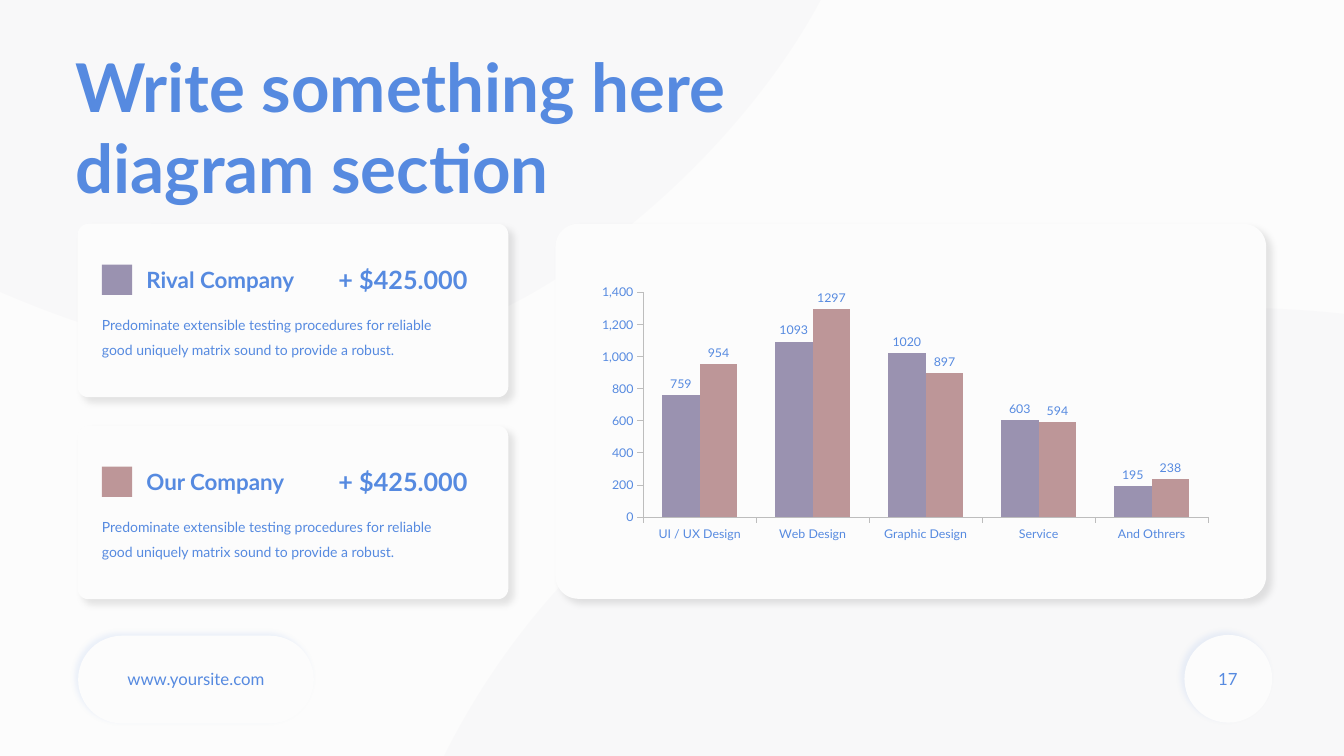
from lxml import etree
from pptx import Presentation
from pptx.chart.data import CategoryChartData
from pptx.dml.color import RGBColor
from pptx.enum.chart import XL_CHART_TYPE, XL_LABEL_POSITION, XL_TICK_MARK
from pptx.enum.shapes import MSO_SHAPE
from pptx.enum.text import MSO_ANCHOR, PP_ALIGN
from pptx.oxml import parse_xml
from pptx.oxml.ns import nsdecls, qn
from pptx.util import Cm, Pt

RECT, ROUND, OVAL = MSO_SHAPE.RECTANGLE, MSO_SHAPE.ROUNDED_RECTANGLE, MSO_SHAPE.OVAL
LEFT, CENTER, RIGHT = PP_ALIGN.LEFT, PP_ALIGN.CENTER, PP_ALIGN.RIGHT
TOP, MIDDLE = MSO_ANCHOR.TOP, MSO_ANCHOR.MIDDLE
COLUMNS = XL_CHART_TYPE.COLUMN_CLUSTERED
OUTSIDE = XL_LABEL_POSITION.OUTSIDE_END
TICK_OUT, TICK_NONE = XL_TICK_MARK.OUTSIDE, XL_TICK_MARK.NONE

FONT = "Lato"
WHITE = RGBColor(0xFC, 0xFC, 0xFC)
BLACK = RGBColor(0, 0, 0)
BLUE = RGBColor(0x56, 0x8A, 0xE0)
MAUVE = RGBColor(0x9A, 0x92, 0xB0)
ROSE = RGBColor(0xBD, 0x96, 0x98)
GRAY = RGBColor(0xBD, 0xBD, 0xBD)

# Shadow: colour, blur, distance, direction
GLOW = (BLUE, 4, 3, 225)
DROP = (BLACK, 5, 5, 45)

# Blobs in cm: bounding box, then a start point and Bezier segments
WAVE = (-17.48, -12.57, 39.34, 21.64), [
    (21.64, -5.64),
    (23.01, -1.52), (18.21, 4.67), (13.36, 7.42),
    (8.48, 10.13), (3.58, 9.45), (-3.15, 5.82),
    (-9.91, 2.24), (-18.47, -4.32), (-17.35, -8.13),
    (-16.28, -11.94), (-5.49, -12.95), (3.66, -12.45),
    (12.8, -11.89), (20.29, -9.78), (21.64, -5.64),
]
HILL = (8.92, 7.75, 41.73, 37.36), [
    (50.29, 17.7),
    (52.25, 24), (46.43, 32.51), (38.48, 38.35),
    (30.53, 44.2), (20.47, 47.29), (14.66, 43.36),
    (8.89, 39.42), (7.42, 28.45), (10.49, 20.62),
    (13.56, 12.8), (21.23, 8.13), (29.92, 7.77),
    (38.61, 7.44), (48.36, 11.46), (50.29, 17.7),
]

BLURB = ("Predominate extensible testing procedures for reliable "
         "good uniquely matrix sound to provide a robust.")
CARDS = [("Rival Company", MAUVE), ("Our Company", ROSE)]
AMOUNT = "+ $425.000"
GROUPS = ["UI / UX Design", "Web Design", "Graphic Design", "Service", "And Othrers"]
SERIES = [
    ("Series 1", [759, 1093, 1020, 603, 195], MAUVE),
    ("Series 2", [954, 1297, 897, 594, 238], ROSE),
]


def add_blob(slide, box, nodes):
    """Draw a faint closed curve; its box frames the path."""
    x, y, w, h = map(Cm, box)
    pen = slide.shapes.build_freeform(x, y)
    pen.add_line_segments([(x + w, y), (x + w, y + h), (x, y + h)], close=True)
    blob = pen.convert_to_shape()
    paint(blob, MAUVE)
    tint = blob.fill._xPr.find(qn("a:solidFill"))[0]
    etree.SubElement(tint, qn("a:alpha"), val="3000")

    # Swap the frame's straight sides for Bezier segments
    track = next(blob._element.iter(qn("a:path")))
    for step in list(track):
        track.remove(step)
    for i in range(0, len(nodes), 3):
        step = etree.SubElement(track, qn("a:cubicBezTo" if i else "a:moveTo"))
        for px, py in nodes[max(i - 2, 0):i + 1]:
            etree.SubElement(step, qn("a:pt"), x=str(Cm(px) - x), y=str(Cm(py) - y))
    etree.SubElement(track, qn("a:close"))


def paint(shape, color):
    shape.shadow.inherit = False
    shape.fill.solid()
    shape.fill.fore_color.rgb = color
    shape.line.fill.background()


def add_box(slide, kind, box, color, radius=None, shade=None):
    shape = slide.shapes.add_shape(kind, *map(Cm, box))
    paint(shape, color)
    if radius is not None:
        shape.adjustments[0] = radius
    if shade:
        tone, blur, dist, angle = shade
        effects = shape._element.spPr.find(qn("a:effectLst"))
        effects.append(parse_xml(
            f'<a:outerShdw {nsdecls("a")} blurRad="{Pt(blur)}" dist="{Pt(dist)}" '
            f'dir="{angle * 60000}" algn="ctr" rotWithShape="0">'
            f'<a:srgbClr val="{tone}"><a:alpha val="10000"/></a:srgbClr></a:outerShdw>'))


def style(font, size, bold=False):
    font.name, font.size, font.bold = FONT, Pt(size), bold
    font.color.rgb = BLUE


def add_text(slide, text, box, size, bold=False, align=LEFT, anchor=TOP,
             inset=True, wrap=True, spacing=None):
    frame = slide.shapes.add_textbox(*map(Cm, box)).text_frame
    frame.word_wrap = wrap
    frame.vertical_anchor = anchor
    if not inset:
        frame.margin_left = frame.margin_right = 0
        frame.margin_top = frame.margin_bottom = 0
    para = frame.paragraphs[0]
    para.text = text
    para.alignment = align
    if spacing:
        para.line_spacing = spacing
    style(para.font, size, bold)


def add_panel(slide, x, y, w, h, pad=0.23):
    add_box(slide, ROUND, (x, y, w, h), WHITE, 0.061, DROP)
    add_box(slide, ROUND, (x + pad, y + pad, w - 2 * pad, h - 2 * pad), WHITE, 0.046)


def add_card(slide, x, y, name, color):
    add_panel(slide, x, y, 10.85, 4.37)
    add_text(slide, AMOUNT, (x + 6.57, y + 1.03, 4.06, 0.76), 18, True, inset=False)
    add_box(slide, RECT, (x + 0.61, y + 1.03, 0.76, 0.76), color)
    add_text(slide, name, (x + 1.73, y + 1.07, 4.7, 0.69), 16, True, inset=False)
    add_text(slide, BLURB, (x + 0.61, y + 2.13, 8.81, 1.22), 10, inset=False, spacing=1.5)


def style_axis(axis):
    axis.has_major_gridlines = False
    axis.major_tick_mark, axis.minor_tick_mark = TICK_OUT, TICK_NONE
    axis.format.line.color.rgb = GRAY
    axis.format.line.width = Pt(0.75)
    style(axis.tick_labels.font, 9)


def place_plot(chart, x, y, w, h):
    """Fix the inner plot area as fractions of the chart."""
    area = chart._chartSpace.chart.plotArea
    for old in area.findall(qn("c:layout")):
        area.remove(old)
    area.insert(0, parse_xml(
        f'<c:layout {nsdecls("c")}><c:manualLayout><c:layoutTarget val="inner"/>'
        '<c:xMode val="edge"/><c:yMode val="edge"/>'
        f'<c:x val="{x}"/><c:y val="{y}"/><c:w val="{w}"/><c:h val="{h}"/>'
        '</c:manualLayout></c:layout>'))


def add_columns(slide, box):
    data = CategoryChartData()
    data.categories = GROUPS
    for name, values, _ in SERIES:
        data.add_series(name, values)
    chart = slide.shapes.add_chart(COLUMNS, *map(Cm, box), data).chart
    style(chart.font, 18)
    chart.has_legend = chart.has_title = False
    place_plot(chart, 0.05, 0, 0.95, 0.92)
    for axis in (chart.category_axis, chart.value_axis):
        style_axis(axis)
    scale = chart.value_axis
    scale.minimum_scale, scale.maximum_scale, scale.major_unit = 0, 1400, 200
    scale.tick_labels.number_format = "#,##0"
    scale.tick_labels.number_format_is_linked = False
    plot = chart.plots[0]
    plot.gap_width, plot.overlap, plot.vary_by_categories = 100, 0, False
    for series, (_, _, color) in zip(plot.series, SERIES):
        series.format.fill.solid()
        series.format.fill.fore_color.rgb = color
        labels = series.data_labels
        labels.show_value, labels.position = True, OUTSIDE
        style(labels.font, 9)


def main():
    deck = Presentation()
    deck.slide_width, deck.slide_height = Cm(33.87), Cm(19.05)
    slide = deck.slides.add_slide(deck.slide_layouts[6])

    # Backdrop
    slide.background.fill.solid()
    slide.background.fill.fore_color.rgb = WHITE
    for box, nodes in (WAVE, HILL):
        add_blob(slide, box, nodes)

    # Footer
    add_box(slide, OVAL, (29.85, 16, 2.21, 2.21), WHITE, shade=GLOW)
    add_text(slide, "17", (23.82, 16.6, 7.62, 1.02), 12, align=RIGHT, anchor=MIDDLE)
    add_box(slide, ROUND, (1.97, 16.02, 5.94, 2.21), WHITE, 0.5, GLOW)
    add_text(slide, "www.yoursite.com", (2.92, 16.73, 4.04, 0.76), 12,
             align=CENTER, wrap=False)

    # Title, cards and chart
    add_text(slide, "Write something here\vdiagram section", (1.65, 1.03, 24.08, 4.37),
             48, True)
    for i, (name, color) in enumerate(CARDS):
        add_card(slide, 1.96, 5.64 + 5.09 * i, name, color)
    add_panel(slide, 14, 5.64, 17.91, 9.45)
    add_columns(slide, (15.17, 7.18, 15.29, 6.47))

    deck.save("out.pptx")


if __name__ == "__main__":
    main()
